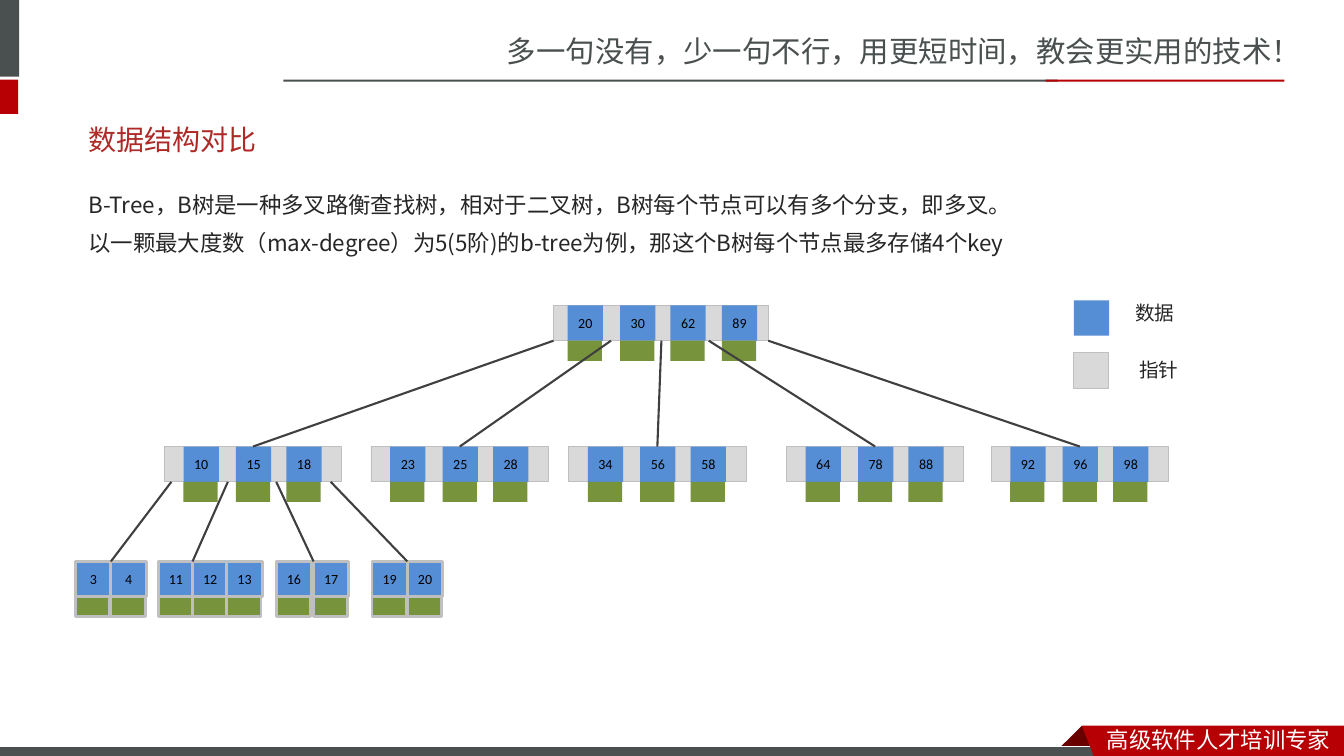
import pptx
import pptx.dml.color
import pptx.enum.shapes
import pptx.enum.text
import pptx.oxml.ns
import pptx.util
from lxml import etree
from pptx.dml.color import RGBColor
from pptx.util import Inches

WHITE = RGBColor(0xFF, 0xFF, 0xFF)
BLACK = RGBColor(0x00, 0x00, 0x00)
SLATE = RGBColor(0x49, 0x50, 0x4F)
RED = RGBColor(0xB6, 0x00, 0x04)
DARK_RED = RGBColor(0x68, 0x00, 0x00)
TITLE_RED = RGBColor(0xAD, 0x2A, 0x26)
INK = RGBColor(0x26, 0x26, 0x26)
DATA_BLUE = RGBColor(0x55, 0x8E, 0xD5)
POINTER_GRAY = RGBColor(0xD9, 0xD9, 0xD9)
BORDER_GRAY = RGBColor(0xBF, 0xBF, 0xBF)
RECORD_GREEN = RGBColor(0x77, 0x93, 0x3C)
EDGE_GRAY = RGBColor(0x40, 0x40, 0x40)

MIDDLE = pptx.enum.text.MSO_ANCHOR.MIDDLE
CELL = 0.35
RECORD_WIDTH, RECORD_HEIGHT = 0.34, 0.2

deck = pptx.Presentation()
deck.slide_width, deck.slide_height = Inches(13.33), Inches(7.5)
page = deck.slides.add_slide(deck.slide_layouts[6])


def add_block(left, top, width, height, fill, border=None, weight=0.5, label=""):
    """Draw a filled rectangle, with a centred key if a label is given."""
    block = page.shapes.add_shape(
        pptx.enum.shapes.MSO_SHAPE.RECTANGLE,
        Inches(left), Inches(top), Inches(width), Inches(height))
    block.shadow.inherit = False
    block.fill.solid()
    block.fill.fore_color.rgb = fill
    if border is None:
        block.line.fill.background()
    else:
        block.line.color.rgb = border
        block.line.width = pptx.util.Pt(weight)
    if label:
        frame = block.text_frame
        frame.margin_left = frame.margin_right = 0
        frame.margin_top = frame.margin_bottom = 0
        frame.vertical_anchor = MIDDLE
        frame.word_wrap = False
        para = frame.paragraphs[0]
        para.alignment = pptx.enum.text.PP_ALIGN.CENTER
        span = para.add_run()
        span.text = label
        span.font.name = "Calibri"
        span.font.size = pptx.util.Pt(10)
        span.font.color.rgb = BLACK


def add_text(left, top, width, height, lines, size, color, font, spacing=1.0):
    """Write one paragraph per line, using the font for Chinese text as well."""
    box = page.shapes.add_textbox(Inches(left), Inches(top), Inches(width), Inches(height))
    frame = box.text_frame
    frame.word_wrap = True
    for index, line in enumerate(lines):
        para = frame.add_paragraph() if index else frame.paragraphs[0]
        para.line_spacing = spacing
        if index:
            para.space_before = pptx.util.Pt(size * 0.2)
        span = para.add_run()
        span.text = line
        span.font.name = font
        span.font.size = pptx.util.Pt(size)
        span.font.color.rgb = color
        east_asian = "Noto Sans CJK SC" if font == "Arial" else font
        etree.SubElement(span.font._element, pptx.oxml.ns.qn("a:ea"), typeface=east_asian)
    return frame


# Header and footer
add_text(4.93, 0.28, 8.41, 0.47, ["多一句没有，少一句不行，用更短时间，教会更实用的技术！"],
         21, SLATE, "Noto Sans CJK SC")
add_block(-0.06, 0, 0.25, 0.76, SLATE)
add_block(-0.06, 0.79, 0.24, 0.34, RED)
add_block(2.81, 0.79, 7.68, 0.02, SLATE)
add_block(10.37, 0.79, 2.37, 0.02, RED)

ribbon_fold = [(10.73, 7.2), (10.95, 7.42), (10.94, 7.43), (10.52, 7.43), (10.51, 7.42)]
ribbon = [(10.73, 7.2), (13.33, 7.2), (13.33, 7.54), (10.86, 7.53)]
for outline, fill in ((ribbon_fold, DARK_RED), (ribbon, RED)):
    points = [(Inches(x), Inches(y)) for x, y in outline]
    builder = page.shapes.build_freeform(*points[0])
    builder.add_line_segments(points[1:], close=True)
    banner = builder.convert_to_shape()
    banner.shadow.inherit = False
    banner.fill.solid()
    banner.fill.fore_color.rgb = fill
    banner.line.fill.background()
    if fill == DARK_RED:
        add_block(-0.01, 7.41, 11, 0.12, SLATE, WHITE, 0.75)
add_text(10.88, 7.15, 2.45, 0.37, ["高级软件人才培训专家"], 16, WHITE, "Noto Sans CJK SC")

# Title and explanation
title = add_text(0.78, 1.1, 11.7, 0.57, ["数据结构对比"], 20, TITLE_RED, "Arial")
title.vertical_anchor = MIDDLE
add_text(0.78, 1.78, 11.7, 1.18, [
    "B-Tree，B树是一种多叉路衡查找树，相对于二叉树，B树每个节点可以有多个分支，即多叉。",
    "以一颗最大度数（max-degree）为5(5阶)的b-tree为例，那这个B树每个节点最多存储4个key",
], 16, INK, "Noto Sans CJK JP", 1.25)

# Root and inner nodes: bar left, bar width, first key left, top, keys
ROOT_TOP, INNER_TOP, LEAF_TOP = 3.03, 4.43, 5.57
KEY_OFFSETS = [0, 0.52, 1.02, 1.53]
inner_nodes = [
    (1.82, ["10", "15", "18"]),
    (3.87, ["23", "25", "28"]),
    (5.83, ["34", "56", "58"]),
    (7.99, ["64", "78", "88"]),
    (10.02, ["92", "96", "98"]),
]
nodes = [(5.49, 2.13, 5.63, ROOT_TOP, ["20", "30", "62", "89"])]
nodes += [(left - 0.19, 1.76, left, INNER_TOP, keys) for left, keys in inner_nodes]
for bar_left, bar_width, first_key, top, keys in nodes:
    add_block(bar_left, top, bar_width, CELL, POINTER_GRAY, BORDER_GRAY)
    for offset, key in zip(KEY_OFFSETS, keys):
        add_block(first_key + offset, top, CELL, CELL, DATA_BLUE, label=key)
        add_block(first_key + offset, top + CELL, RECORD_WIDTH, RECORD_HEIGHT, RECORD_GREEN)

# Leaves: left, key pitch, keys
leaves = [
    (0.75, 0.35, ["3", "4"]),
    (1.57, 0.34, ["11", "12", "13"]),
    (2.74, 0.37, ["16", "17"]),
    (3.69, 0.35, ["19", "20"]),
]
for left, pitch, keys in leaves:
    for index, key in enumerate(keys):
        x = left + index * pitch
        add_block(x, LEAF_TOP, CELL, CELL, DATA_BLUE, BORDER_GRAY, 2, key)
        add_block(x, LEAF_TOP + CELL, RECORD_WIDTH, RECORD_HEIGHT, RECORD_GREEN, BORDER_GRAY, 2)

# Edges from each pointer to its child
root_pointers = [5.49, 6.06, 6.56, 7.03, 7.62]
inner_pointers = [1.7, 2.26, 2.74, 3.28]
edges = [(start, ROOT_TOP + CELL, left + 0.69, INNER_TOP)
         for start, (left, _) in zip(root_pointers, inner_nodes)]
edges += [(start, INNER_TOP + CELL, left + pitch, LEAF_TOP)
          for start, (left, pitch, _) in zip(inner_pointers, leaves)]
for edge in edges:
    line = page.shapes.add_connector(
        pptx.enum.shapes.MSO_CONNECTOR.STRAIGHT, *[Inches(value) for value in edge])
    line.line.color.rgb = EDGE_GRAY
    line.line.width = pptx.util.Pt(1.5)
    etree.SubElement(line._element.spPr, pptx.oxml.ns.qn("a:effectLst"))

# Legend
add_block(10.65, 2.98, CELL, CELL, DATA_BLUE)
add_block(10.65, 3.5, 0.34, CELL, POINTER_GRAY, BORDER_GRAY)
for left, top, name in ((11.16, 2.87, "数据"), (11.2, 3.43, "指针")):
    add_text(left, top, 0.66, 0.56, [name], 14, INK, "Noto Sans CJK JP", 1.3)

deck.save("out.pptx")
